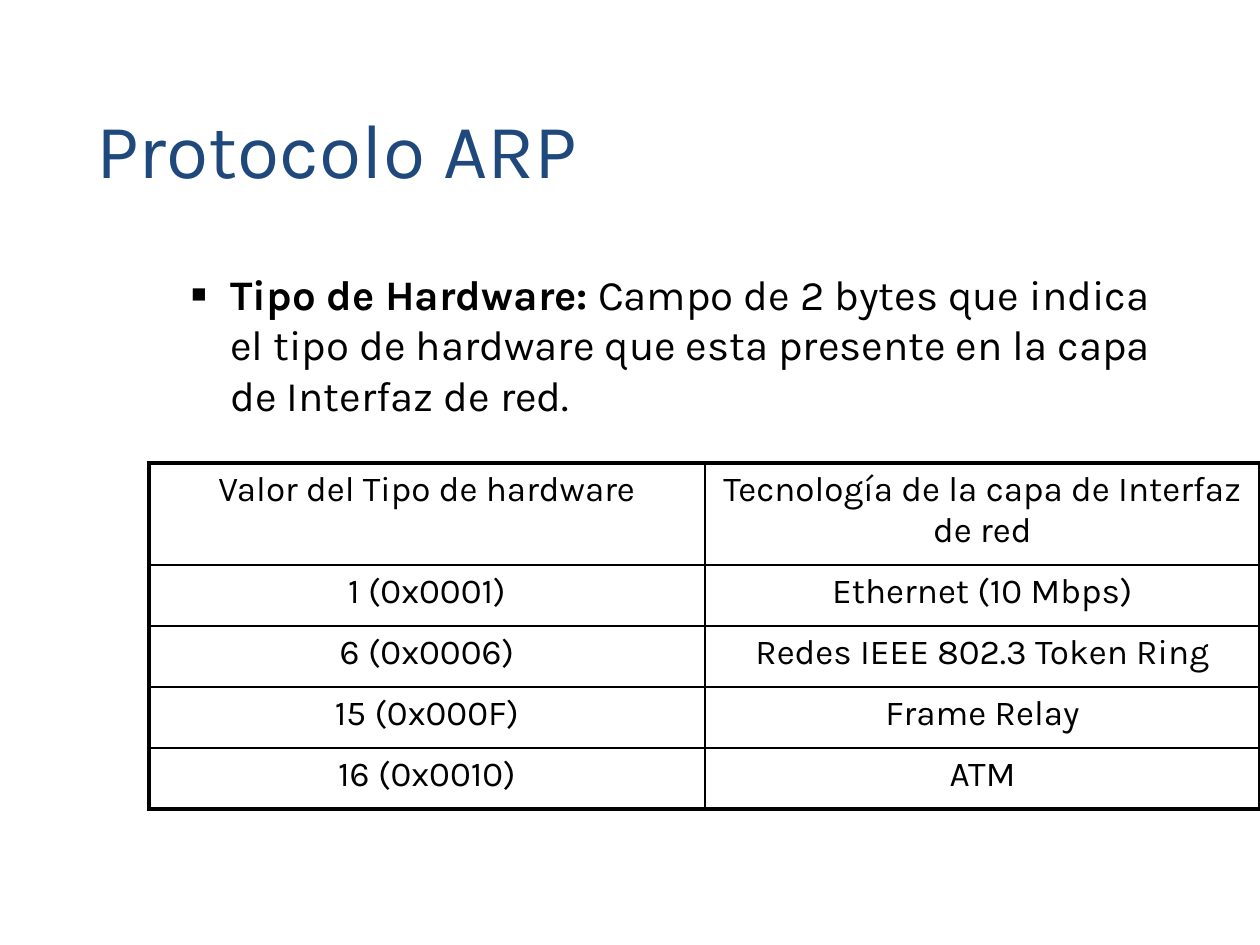
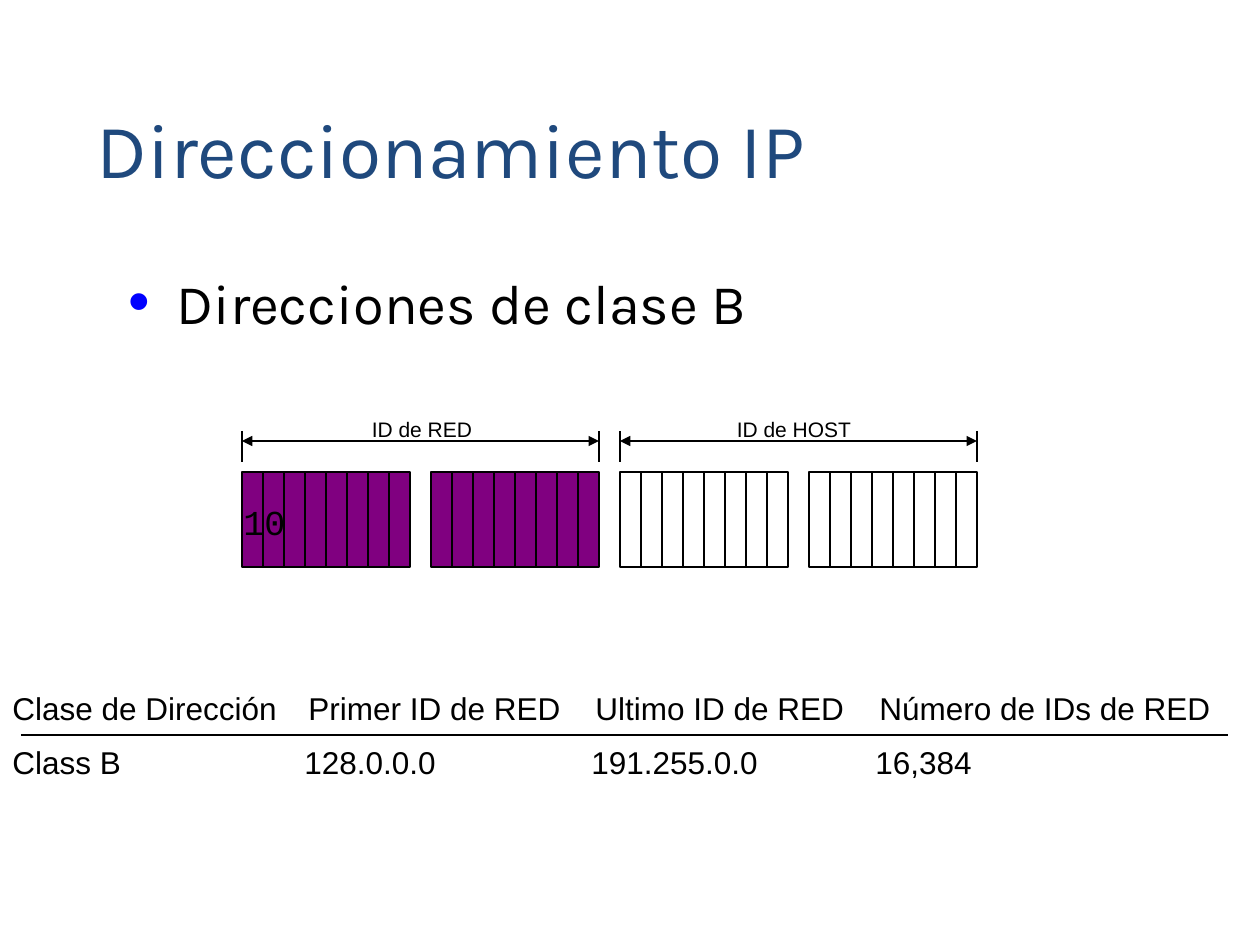
"""Build two networking slides: ARP hardware types and class B IP addressing."""

import dataclasses
import typing

import lxml.etree
import pptx
import pptx.dml.color
import pptx.enum.shapes
import pptx.enum.text
import pptx.oxml.ns
import pptx.shapes.connector
import pptx.slide
import pptx.table
import pptx.text.text
import pptx.util

EMU_PER_PX = 914400 / 126
PAGE_WIDTH, PAGE_HEIGHT = 1260, 945

BLACK = pptx.dml.color.RGBColor(0x00, 0x00, 0x00)
NAVY = pptx.dml.color.RGBColor(0x1F, 0x49, 0x7D)
BLUE = pptx.dml.color.RGBColor(0x00, 0x00, 0xFF)
PURPLE = pptx.dml.color.RGBColor(0x80, 0x00, 0x80)

ALIGN = pptx.enum.text.PP_ALIGN
THIN, MEDIUM, THICK = 0.75, 1, 2.25

BIT_WIDTH, BIT_HEIGHT, BITS_PER_OCTET = 21, 95, 8
OCTET_LEFT, OCTET_TOP, OCTET_PITCH = 242, 472, 189
TICK_TOP, TICK_BOTTOM, ARROW_Y = 431, 462, 441


@dataclasses.dataclass(frozen=True)
class Frame:
    left: int
    top: int
    width: int
    height: int


@dataclasses.dataclass(frozen=True)
class TextStyle:
    family: str
    size: int
    color: pptx.dml.color.RGBColor = BLACK
    align: ALIGN = ALIGN.LEFT


@dataclasses.dataclass(frozen=True)
class Bullet:
    mark: str
    color: pptx.dml.color.RGBColor
    percent: int
    margin: int
    hanging: int


@dataclasses.dataclass(frozen=True)
class AddressField:
    label: str
    label_frame: Frame
    first_octet: int
    fill: pptx.dml.color.RGBColor | None


@dataclasses.dataclass(frozen=True)
class TabbedRow:
    cells: tuple[str, ...]
    stops: tuple[int, ...]
    space_before: int


TITLE_FRAME = Frame(84, 42, 1071, 158)
TITLE_STYLE = TextStyle("Karla", 44, NAVY)
FIELD_STYLE = TextStyle("Karla", 24)
TOPIC_STYLE = TextStyle("Karla", 32)
CELL_STYLE = TextStyle("Karla", 20, align=ALIGN.CENTER)
LABEL_STYLE = TextStyle("Arial", 12, align=ALIGN.CENTER)
CLASS_STYLE = TextStyle("Arial", 18)
PREFIX_STYLE = TextStyle("Courier New", 20)

SQUARE = Bullet("■", BLACK, 60, 102, 39)
DOT = Bullet("•", BLUE, 110, 48, 48)

HARDWARE_TYPES = (
    ("Valor del Tipo de hardware", "Tecnología de la capa de Interfaz de red"),
    ("1 (0x0001)", "Ethernet (10 Mbps)"),
    ("6 (0x0006)", "Redes IEEE 802.3 Token Ring"),
    ("15 (0x000F)", "Frame Relay"),
    ("16 (0x0010)", "ATM"),
)
HARDWARE_COLUMNS = (556, 555)
HARDWARE_ROWS = (102, 61, 61, 61, 61)

ADDRESS_FIELDS = (
    AddressField("ID de RED", Frame(359, 410, 126, 38), 0, PURPLE),
    AddressField("ID de HOST", Frame(724, 410, 140, 38), 2, None),
)
CLASS_ROWS = (
    TabbedRow(
        ("Clase de Dirección", "Primer ID de RED", "Ultimo ID de RED", "Número de IDs de RED"),
        (296, 583, 867),
        0,
    ),
    TabbedRow(("Class B", "128.0.0.0", "191.255.0.0", "16,384"), (292, 579, 863), 9),
)


def px(length: int) -> pptx.util.Emu:
    return pptx.util.Emu(round(length * EMU_PER_PX))


def place(frame: Frame) -> tuple[pptx.util.Emu, ...]:
    return tuple(px(length) for length in dataclasses.astuple(frame))


def add_element(parent: typing.Any, tag: str, **attributes: object) -> typing.Any:
    values = {name: str(value) for name, value in attributes.items()}
    return lxml.etree.SubElement(parent, pptx.oxml.ns.qn(tag), values)


def style_paragraph(para: pptx.text.text._Paragraph, style: TextStyle) -> None:
    para.alignment = style.align
    para.font.name = style.family
    para.font.size = pptx.util.Pt(style.size)
    para.font.color.rgb = style.color


def add_bullet(para: pptx.text.text._Paragraph, bullet: Bullet) -> None:
    properties = para._p.get_or_add_pPr()
    properties.set("marL", str(px(bullet.margin)))
    properties.set("indent", str(-px(bullet.hanging)))
    color = add_element(properties, "a:buClr")
    add_element(color, "a:srgbClr", val=bullet.color)
    add_element(properties, "a:buSzPct", val=bullet.percent * 1000)
    add_element(properties, "a:buFont", typeface="Arial")
    add_element(properties, "a:buChar", char=bullet.mark)


def add_text_box(
    page: pptx.slide.Slide, frame: Frame, wrap: bool = True
) -> pptx.text.text.TextFrame:
    box = page.shapes.add_textbox(*place(frame)).text_frame
    box.word_wrap = wrap
    return box


def add_label(
    page: pptx.slide.Slide, frame: Frame, text: str, style: TextStyle, wrap: bool = True
) -> pptx.text.text.TextFrame:
    box = add_text_box(page, frame, wrap)
    box.text = text
    style_paragraph(box.paragraphs[0], style)
    return box


def add_bulleted(
    page: pptx.slide.Slide,
    frame: Frame,
    lead: str,
    text: str,
    bullet: Bullet,
    style: TextStyle,
) -> None:
    para = add_text_box(page, frame).paragraphs[0]
    add_bullet(para, bullet)
    style_paragraph(para, style)
    if lead:
        span = para.add_run()
        span.text = lead
        span.font.bold = True
    para.add_run().text = text


def add_line(
    page: pptx.slide.Slide,
    start: tuple[int, int],
    end: tuple[int, int],
    weight: float = THIN,
    arrows: bool = False,
) -> None:
    line = page.shapes.add_connector(
        pptx.enum.shapes.MSO_CONNECTOR.STRAIGHT, *map(px, start + end)
    )
    line.line.color.rgb = BLACK
    line.line.width = pptx.util.Pt(weight)
    if arrows:
        for tag in ("a:headEnd", "a:tailEnd"):
            add_element(line.line._get_or_add_ln(), tag, type="triangle")
    add_element(line._element.spPr, "a:effectLst")


def add_borders(cell: pptx.table._Cell, weights: dict[str, float]) -> None:
    properties = cell._tc.get_or_add_tcPr()
    for side, weight in weights.items():
        border = add_element(properties, f"a:ln{side}", w=pptx.util.Pt(weight))
        fill = add_element(border, "a:solidFill")
        add_element(fill, "a:srgbClr", val=BLACK)


def add_hardware_table(page: pptx.slide.Slide) -> None:
    last_row, last_column = len(HARDWARE_ROWS) - 1, len(HARDWARE_COLUMNS) - 1
    frame = Frame(149, 463, sum(HARDWARE_COLUMNS), sum(HARDWARE_ROWS))
    table = page.shapes.add_table(last_row + 1, last_column + 1, *place(frame)).table
    table.first_row = table.horz_banding = False
    for column, width in zip(table.columns, HARDWARE_COLUMNS):
        column.width = px(width)
    for row, height in zip(table.rows, HARDWARE_ROWS):
        row.height = px(height)
    for i, texts in enumerate(HARDWARE_TYPES):
        for j, text in enumerate(texts):
            cell = table.cell(i, j)
            cell.text = text
            style_paragraph(cell.text_frame.paragraphs[0], CELL_STYLE)
            outer = {"L": j == 0, "R": j == last_column, "T": i == 0, "B": i == last_row}
            add_borders(cell, {side: THICK if edge else MEDIUM for side, edge in outer.items()})
            cell.fill.background()


def add_octet(
    page: pptx.slide.Slide, left: int, fill: pptx.dml.color.RGBColor | None
) -> None:
    octet = page.shapes.add_group_shape()
    for i in range(BITS_PER_OCTET):
        frame = Frame(left + i * BIT_WIDTH, OCTET_TOP, BIT_WIDTH, BIT_HEIGHT)
        bit = octet.shapes.add_shape(
            pptx.enum.shapes.MSO_SHAPE.RECTANGLE, *place(frame)
        )
        bit.shadow.inherit = False
        if fill is None:
            bit.fill.background()
        else:
            bit.fill.solid()
            bit.fill.fore_color.rgb = fill
        bit.line.color.rgb = BLACK
        bit.line.width = pptx.util.Pt(THIN)


def add_address_field(page: pptx.slide.Slide, field: AddressField) -> None:
    left = OCTET_LEFT + field.first_octet * OCTET_PITCH
    right = left + OCTET_PITCH + BITS_PER_OCTET * BIT_WIDTH
    for octet_left in (left, left + OCTET_PITCH):
        add_octet(page, octet_left, field.fill)
    for x in (left, right):
        add_line(page, (x, TICK_TOP), (x, TICK_BOTTOM))
    add_line(page, (left, ARROW_Y), (right, ARROW_Y), arrows=True)
    add_label(page, field.label_frame, field.label, LABEL_STYLE, wrap=False)


def add_class_rows(page: pptx.slide.Slide) -> None:
    box = add_text_box(page, Frame(0, 683, 1239, 160))
    for i, row in enumerate(CLASS_ROWS):
        para = box.add_paragraph() if i else box.paragraphs[0]
        tabs = add_element(para._p.get_or_add_pPr(), "a:tabLst")
        for stop in row.stops:
            add_element(tabs, "a:tab", pos=px(stop), algn="l")
        style_paragraph(para, CLASS_STYLE)
        if row.space_before:
            para.space_before = pptx.util.Pt(row.space_before)
        para.add_run().text = "\t".join(row.cells)
    add_line(page, (21, 735), (1228, 735), MEDIUM)


def add_page(deck: typing.Any, title: str) -> pptx.slide.Slide:
    page = deck.slides.add_slide(deck.slide_layouts[6])
    box = add_label(page, TITLE_FRAME, title, TITLE_STYLE)
    box.vertical_anchor = pptx.enum.text.MSO_ANCHOR.BOTTOM
    return page


def main() -> None:
    deck = pptx.Presentation()
    deck.slide_width, deck.slide_height = px(PAGE_WIDTH), px(PAGE_HEIGHT)

    page = add_page(deck, "Protocolo ARP")
    description = (
        " Campo de 2 bytes que indica el tipo de hardware que esta presente"
        " en la capa de Interfaz de red."
    )
    add_bulleted(
        page, Frame(116, 262, 1080, 170), "Tipo de Hardware:", description, SQUARE, FIELD_STYLE
    )
    add_hardware_table(page)

    page = add_page(deck, "Direccionamiento IP")
    add_bulleted(
        page, Frame(116, 262, 1071, 567), "", "Direcciones de clase B", DOT, TOPIC_STYLE
    )
    add_class_rows(page)
    for field in ADDRESS_FIELDS:
        add_address_field(page, field)
    add_label(page, Frame(231, 494, 199, 54), "10", PREFIX_STYLE)

    deck.save("out.pptx")


if __name__ == "__main__":
    main()
